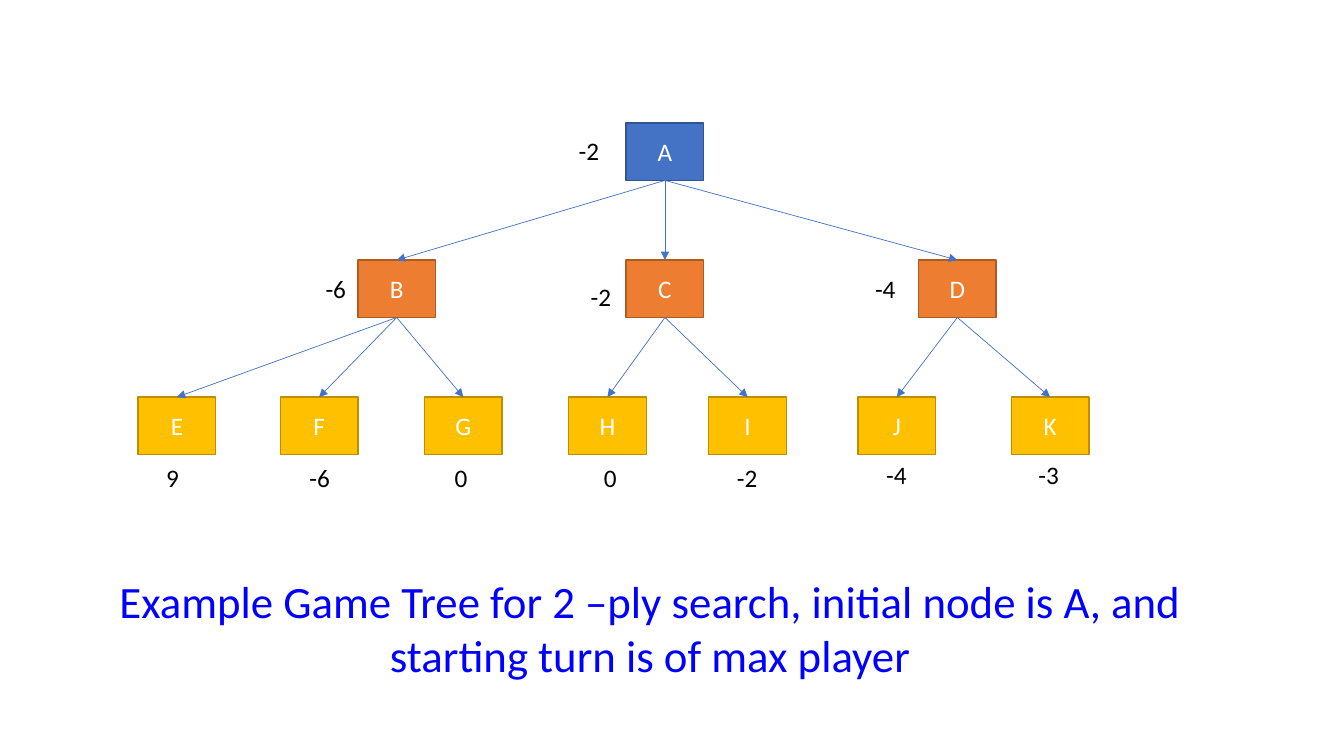
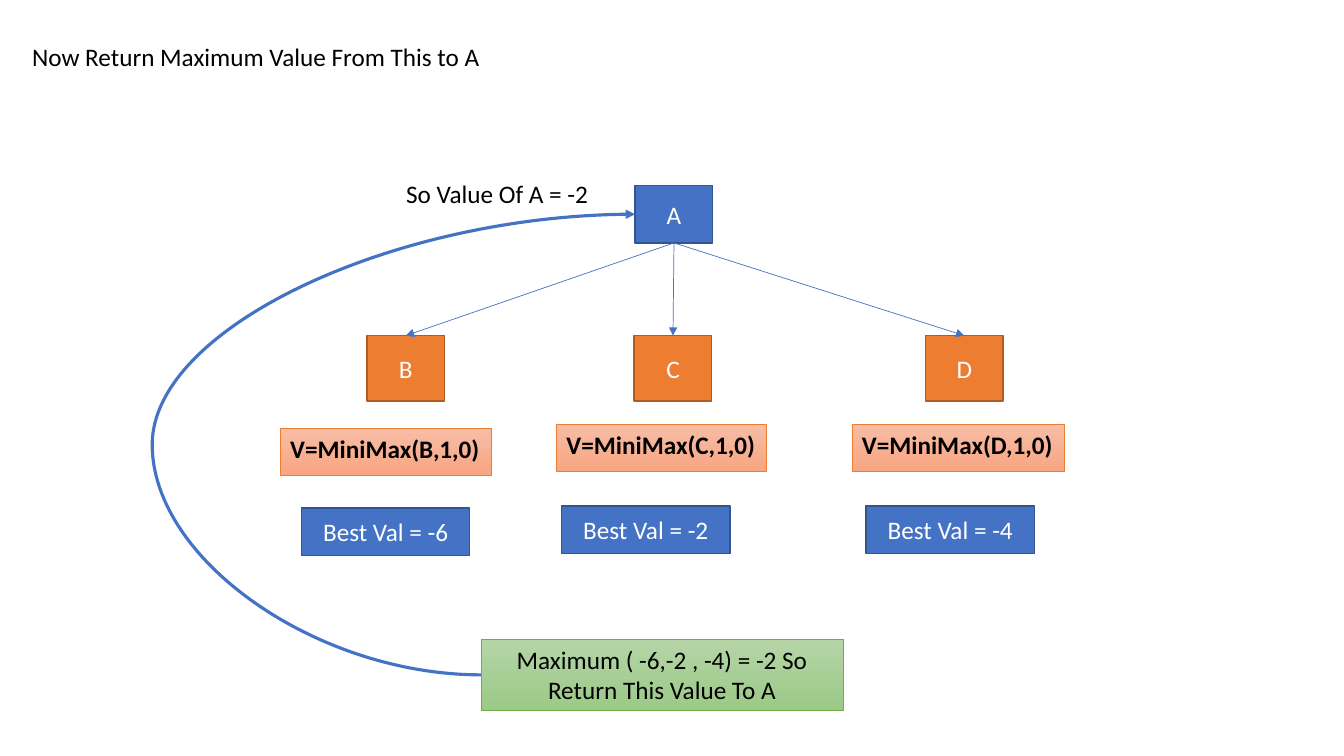
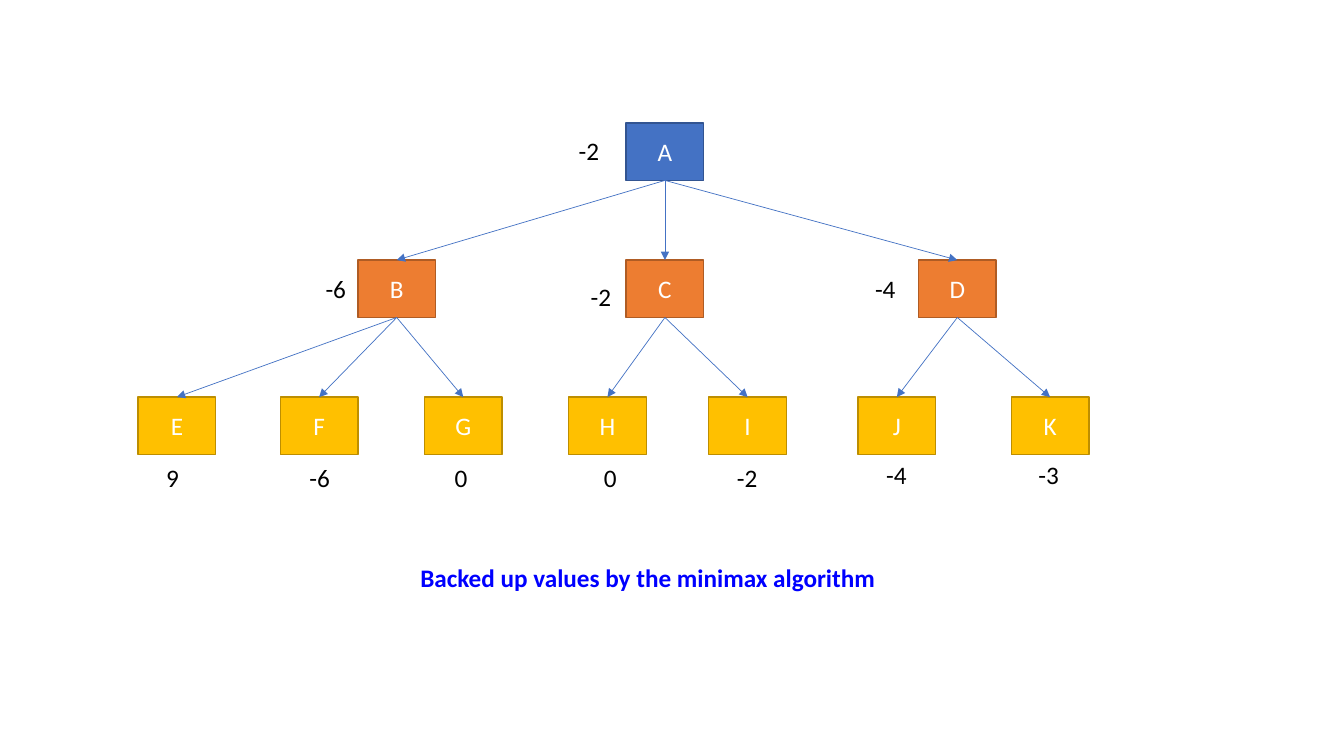
from typing import NamedTuple

from lxml import etree
from pptx import Presentation
from pptx.dml.color import RGBColor
from pptx.enum.shapes import MSO_CONNECTOR, MSO_SHAPE
from pptx.enum.text import MSO_ANCHOR, PP_ALIGN
from pptx.oxml.ns import qn
from pptx.shapes.autoshape import Shape
from pptx.shapes.connector import Connector
from pptx.slide import Slide
from pptx.util import Inches, Pt

RECTANGLE = MSO_SHAPE.RECTANGLE
STRAIGHT = MSO_CONNECTOR.STRAIGHT
CURVE = MSO_CONNECTOR.CURVE
TOP, MIDDLE = MSO_ANCHOR.TOP, MSO_ANCHOR.MIDDLE
LEFT, CENTER = PP_ALIGN.LEFT, PP_ALIGN.CENTER
TOP_SIDE, LEFT_SIDE, BOTTOM_SIDE = 0, 1, 2

FONT = "Calibri"
BLACK = RGBColor(0x00, 0x00, 0x00)
WHITE = RGBColor(0xFF, 0xFF, 0xFF)
CAPTION_BLUE = RGBColor(0x00, 0x00, 0xFF)
BLUE = RGBColor(0x44, 0x72, 0xC4)
DARK_BLUE = RGBColor(0x32, 0x54, 0x91)
ORANGE = RGBColor(0xED, 0x7D, 0x31)
DARK_ORANGE = RGBColor(0xAF, 0x5C, 0x24)
GOLD = RGBColor(0xFF, 0xC0, 0x00)
DARK_GOLD = RGBColor(0xBD, 0x8E, 0x00)
GREEN = RGBColor(0x70, 0xAD, 0x47)
PEACH_START = RGBColor(0xF7, 0xBD, 0xA5)
PEACH_END = RGBColor(0xF8, 0xA5, 0x82)
SAGE_START = RGBColor(0xB5, 0xD5, 0xA7)
SAGE_END = RGBColor(0x9C, 0xC9, 0x87)


class BoxStyle(NamedTuple):
    fills: tuple[RGBColor, ...]
    border: RGBColor
    border_width: float = 1
    text_color: RGBColor = WHITE
    bold: bool = False
    align: PP_ALIGN = CENTER
    anchor: MSO_ANCHOR = MIDDLE
    wrap: bool = True


class Node(NamedTuple):
    name: str
    parent: str
    level: int
    left: float
    value: str
    value_left: float
    value_top: float


class Branch(NamedTuple):
    name: str
    left: float
    call_left: float
    call_top: float
    call_width: float
    best: str
    best_left: float
    best_top: float


MAX_STYLE = BoxStyle((BLUE,), DARK_BLUE)
MIN_STYLE = BoxStyle((ORANGE,), DARK_ORANGE)
LEAF_STYLE = BoxStyle((GOLD,), DARK_GOLD)
CALL_STYLE = BoxStyle((PEACH_START, PEACH_END), ORANGE, 0.5, BLACK, True, LEFT, TOP, False)
RESULT_STYLE = BoxStyle((SAGE_START, SAGE_END), GREEN, 0.5, BLACK, anchor=TOP)
LEVEL_STYLES = (MAX_STYLE, MIN_STYLE, LEAF_STYLE)

NODE_WIDTH, NODE_HEIGHT = 0.77, 0.57
TREE_TOP, LEVEL_STEP = 1.22, 1.36

TREE = (
    Node("A", "", 0, 6.21, "-2", 5.64, 1.29),
    Node("B", "A", 1, 3.55, "-6", 3.13, 2.66),
    Node("C", "A", 1, 6.21, "-2", 5.76, 2.74),
    Node("D", "A", 1, 9.11, "-4", 8.58, 2.66),
    Node("E", "B", 2, 1.37, "9", 1.55, 4.54),
    Node("F", "B", 2, 2.78, "-6", 2.97, 4.54),
    Node("G", "B", 2, 4.21, "0", 4.41, 4.54),
    Node("H", "C", 2, 5.64, "0", 5.89, 4.54),
    Node("I", "C", 2, 7.03, "-2", 7.21, 4.54),
    Node("J", "D", 2, 8.51, "-4", 8.69, 4.51),
    Node("K", "D", 2, 10.03, "-3", 10.2, 4.51),
)

BRANCHES = (
    Branch("B", 3.64, 2.78, 4.25, 2.09, "-6", 2.99, 5.04),
    Branch("C", 6.29, 5.52, 4.21, 2.08, "-2", 5.57, 5.02),
    Branch("D", 9.18, 8.45, 4.21, 2.11, "-4", 8.59, 5.02),
)


def write(box: Shape, text: str, color: RGBColor, size: float = 18,
          bold: bool = False, align: PP_ALIGN = LEFT) -> None:
    box.text_frame.text = text
    para = box.text_frame.paragraphs[0]
    para.alignment = align
    for span in para.runs:
        span.font.name = FONT
        span.font.size = Pt(size)
        span.font.bold = bold
        span.font.color.rgb = color


def add_text(page: Slide, text: str, left: float, top: float, width: float,
             height: float = 0.4, color: RGBColor = BLACK, size: float = 18,
             bold: bool = False, align: PP_ALIGN = LEFT) -> None:
    box = page.shapes.add_textbox(Inches(left), Inches(top), Inches(width), Inches(height))
    box.text_frame.word_wrap = True
    write(box, text, color, size, bold, align)


def add_box(page: Slide, text: str, left: float, top: float, width: float,
            height: float, style: BoxStyle) -> Shape:
    box = page.shapes.add_shape(
        RECTANGLE, Inches(left), Inches(top), Inches(width), Inches(height))
    box.shadow.inherit = False
    if len(style.fills) == 1:
        box.fill.solid()
        box.fill.fore_color.rgb = style.fills[0]
    else:
        box.fill.gradient()
        box.fill.gradient_angle = 270
        for stop, color in zip(box.fill.gradient_stops, style.fills):
            stop.color.rgb = color
    box.line.color.rgb = style.border
    box.line.width = Pt(style.border_width)
    box.text_frame.word_wrap = style.wrap
    box.text_frame.vertical_anchor = style.anchor
    write(box, text, style.text_color, bold=style.bold, align=style.align)
    return box


def add_arrow(page: Slide, start: Shape, start_side: int, end: Shape, end_side: int,
              kind: MSO_CONNECTOR = STRAIGHT, width: float = 0.5) -> Connector:
    arrow = page.shapes.add_connector(kind, 0, 0, 0, 0)
    arrow.begin_connect(start, start_side)
    arrow.end_connect(end, end_side)
    arrow.line.color.rgb = BLUE
    arrow.line.width = Pt(width)
    properties = arrow._element.spPr
    etree.SubElement(properties.find(qn("a:ln")), qn("a:tailEnd"), type="triangle")
    etree.SubElement(properties, qn("a:effectLst"))
    return arrow


def bend_left(arrow: Connector, adjustment: int) -> None:
    properties = arrow._element.spPr
    frame = properties.find(qn("a:xfrm"))
    frame.set("rot", "10800000")
    frame.set("flipH", "1")
    frame.set("flipV", "0")
    geometry = properties.find(qn("a:prstGeom"))
    guides = geometry.find(qn("a:avLst"))
    if guides is None:
        guides = etree.SubElement(geometry, qn("a:avLst"))
    etree.SubElement(guides, qn("a:gd"), name="adj1", fmla=f"val {adjustment}")


def draw_tree(page: Slide) -> None:
    boxes = {
        node.name: add_box(page, node.name, node.left, TREE_TOP + node.level * LEVEL_STEP,
                           NODE_WIDTH, NODE_HEIGHT, LEVEL_STYLES[node.level])
        for node in TREE
    }
    for node in TREE:
        if node.parent:
            add_arrow(page, boxes[node.parent], BOTTOM_SIDE, boxes[node.name], TOP_SIDE)
        add_text(page, node.value, node.value_left, node.value_top, 0.58)


def draw_return_step(page: Slide) -> None:
    add_text(page, "Now Return Maximum Value From This to A", 0.22, 0.36, 4.75)
    root = add_box(page, "A", 6.3, 1.84, NODE_WIDTH, NODE_HEIGHT, MAX_STYLE)
    for branch in BRANCHES:
        child = add_box(page, branch.name, branch.left, 3.33, NODE_WIDTH, 0.65, MIN_STYLE)
        add_arrow(page, root, BOTTOM_SIDE, child, TOP_SIDE)
        add_box(page, f"V=MiniMax({branch.name},1,0)", branch.call_left, branch.call_top,
                branch.call_width, 0.47, CALL_STYLE)
        add_box(page, f"Best Val = {branch.best}", branch.best_left, branch.best_top,
                1.67, 0.47, MAX_STYLE)
    result = add_box(page, "Maximum ( -6,-2 , -4) = -2 So Return This Value To A",
                     4.77, 6.34, 3.59, 0.71, RESULT_STYLE)
    return_arrow = add_arrow(page, result, LEFT_SIDE, root, LEFT_SIDE, CURVE, 2.25)
    bend_left(return_arrow, -213100)
    add_text(page, "So Value Of A = -2", 3.93, 1.72, 2.09)


def main() -> None:
    deck = Presentation()
    deck.slide_width, deck.slide_height = Inches(13.33), Inches(7.5)
    blank = deck.slide_layouts[6]
    example, return_step, backed_up = (deck.slides.add_slide(blank) for _ in range(3))

    draw_tree(example)
    add_text(example, "Example Game Tree for 2 –ply search, initial node is A, "
             "and starting turn is of max player",
             0.52, 5.64, 11.86, 1.18, CAPTION_BLUE, 32, align=CENTER)

    draw_return_step(return_step)

    draw_tree(backed_up)
    add_text(backed_up, "Backed up values by the minimax algorithm",
             4.07, 5.53, 5.08, color=CAPTION_BLUE, bold=True)

    deck.save("out.pptx")


if __name__ == "__main__":
    main()
